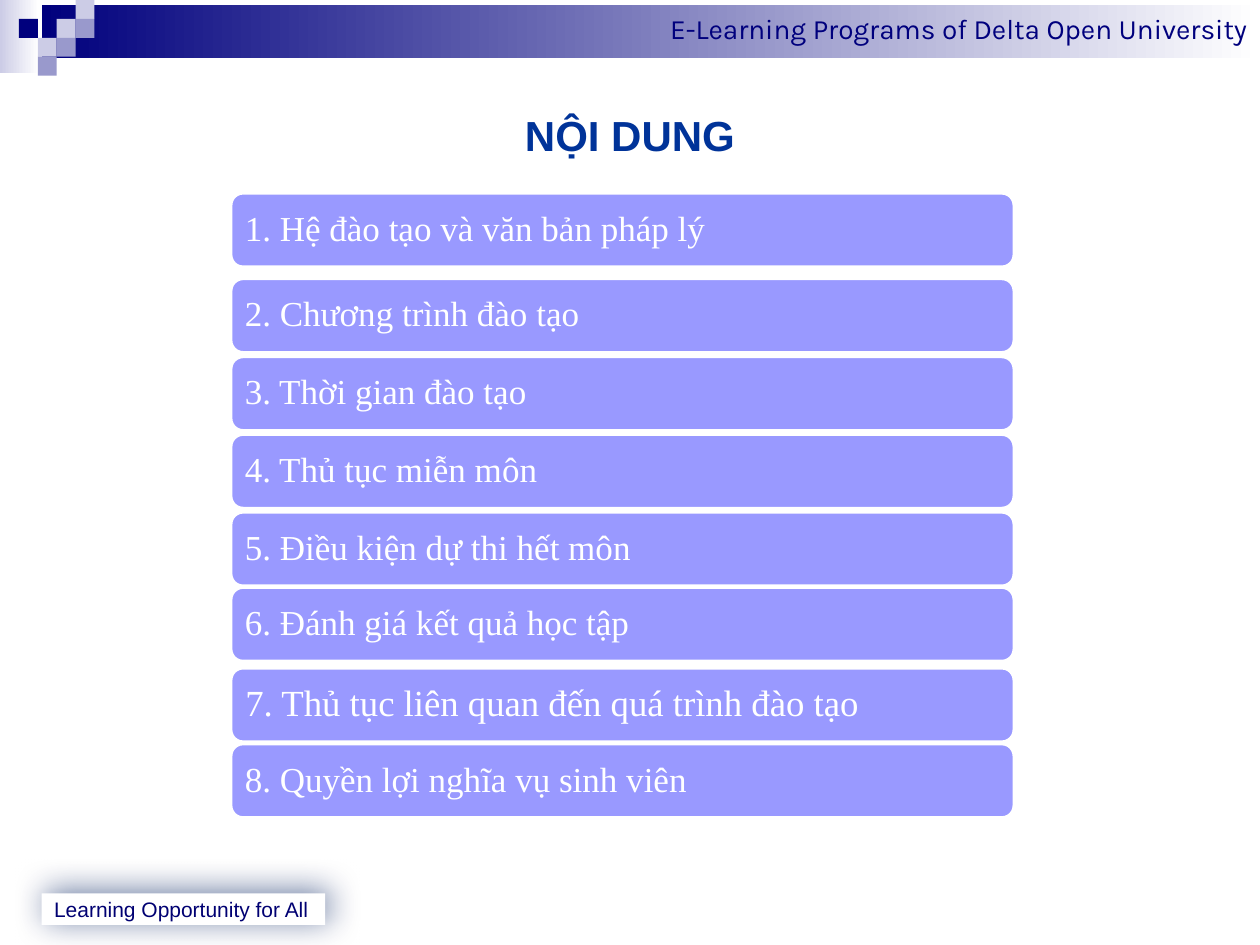
from lxml import etree
from pptx import Presentation
from pptx.dml.color import RGBColor
from pptx.enum.shapes import MSO_SHAPE as Shape
from pptx.enum.text import MSO_ANCHOR as Anchor, PP_ALIGN as Align
from pptx.oxml.ns import qn
from pptx.util import Pt

COLORS = {
    "navy": "00007D", "pale": "CCCCE6", "mid": "9999CC", "white": "FFFFFF",
    "title": "003399", "footer": "000072", "bar": "9999FF", "shadow": "002060",
}
CELL = 10.8
SQUARES = [(3, 1, "pale"), (4, 0, "pale"), (4, 1, "mid"), (2, 2, "pale"),
           (1, 1, "navy"), (3, 2, "mid"), (2, 3, "mid")]
TOPICS = [
    (110.2, "1. Hệ đào tạo và văn bản pháp lý"),
    (159.1, "2. Chương trình đào tạo"),
    (203.7, "3. Thời gian đào tạo"),
    (248.1, "4. Thủ tục miễn môn"),
    (292.5, "5. Điều kiện dự thi hết môn"),
    (335.5, "6. Đánh giá kết quả học tập"),
    (381.6, "7. Thủ tục liên quan đến quá trình đào tạo"),
    (424.9, "8. Quyền lợi nghĩa vụ sinh viên"),
]
LARGE_TOPIC = 7


def rgb(name):
    return RGBColor.from_string(COLORS[name])


def set_all(target, values):
    for name, value in values.items():
        setattr(target, name, value)


def add_box(slide, box, fill, kind=Shape.RECTANGLE):
    shape = slide.shapes.add_shape(kind, *map(Pt, box))
    shape.shadow.inherit = False
    shape.fill.solid()
    shape.fill.fore_color.rgb = rgb(fill)
    shape.line.fill.background()
    return shape


def add_gradient_box(slide, box, start, end):
    shape = add_box(slide, box, start)
    shape.fill.gradient()
    shape.fill.gradient_angle = 0
    for stop, color in zip(shape.fill.gradient_stops, (start, end)):
        stop.color.rgb = rgb(color)
    return shape


def write(shape, text, font, color, frame=None, paragraph=None):
    text_frame = shape.text_frame
    set_all(text_frame, {"word_wrap": True, "vertical_anchor": Anchor.MIDDLE, **(frame or {})})
    line = text_frame.paragraphs[0]
    set_all(line, {"alignment": Align.LEFT, **(paragraph or {})})
    run = line.add_run()
    run.text = text
    set_all(run.font, font)
    run.font.color.rgb = rgb(color)


def add_shadow(shape, color, opacity, blur, distance, angle):
    effects = shape.fill._xPr.find(qn("a:effectLst"))
    shadow = etree.SubElement(effects, qn("a:outerShdw"), {
        "blurRad": str(Pt(blur)), "dist": str(Pt(distance)),
        "dir": str(angle * 60000), "algn": "bl", "rotWithShape": "0",
    })
    shade = etree.SubElement(shadow, qn("a:srgbClr"), val=COLORS[color])
    etree.SubElement(shade, qn("a:alpha"), val=str(opacity * 1000))


def add_header(slide):
    add_gradient_box(slide, (0, 0, 22.3, 41.8), "pale", "white")
    banner = add_gradient_box(slide, (23.8, 2.9, 696.2, 30.2), "navy", "white")
    write(banner, "E-Learning Programs of Delta Open University",
          {"name": "Karla", "size": Pt(16)}, "navy",
          {"vertical_anchor": Anchor.TOP}, {"alignment": Align.RIGHT})
    for column, row, color in SQUARES:
        add_box(slide, (column * CELL, row * CELL, CELL, CELL), color)


def add_footer(slide):
    footer = add_box(slide, (23.8, 510.5, 162, 18), "white")
    add_shadow(footer, "shadow", 56, 19, 3, 315)
    write(footer, "Learning Opportunity for All",
          {"name": "Arial", "size": Pt(12)}, "footer")


def add_title(slide, text):
    title = slide.shapes.add_textbox(Pt(36), Pt(36), Pt(648), Pt(82))
    write(title, text, {"name": "Arial", "size": Pt(24), "bold": True}, "title",
          paragraph={"alignment": Align.CENTER})


def add_topic(slide, top, text, size):
    bar = add_box(slide, (131.8, top, 447.8, 42.5), "bar", Shape.ROUNDED_RECTANGLE)
    bar.line.color.rgb = rgb("white")
    bar.line.width = Pt(2)
    margins = {f"margin_{side}": Pt(size * 0.3) for side in ("left", "top", "right", "bottom")}
    write(bar, text, {"name": "Times New Roman", "size": Pt(size)}, "white",
          margins, {"line_spacing": 0.9})


def main():
    presentation = Presentation()
    set_all(presentation, {"slide_width": Pt(720), "slide_height": Pt(540)})
    slide = presentation.slides.add_slide(presentation.slide_layouts[6])
    add_header(slide)
    add_footer(slide)
    add_title(slide, "NỘI DUNG")
    for number, (top, text) in enumerate(TOPICS, 1):
        add_topic(slide, top, text, 21 if number == LARGE_TOPIC else 20)
    presentation.save("out.pptx")


if __name__ == "__main__":
    main()
